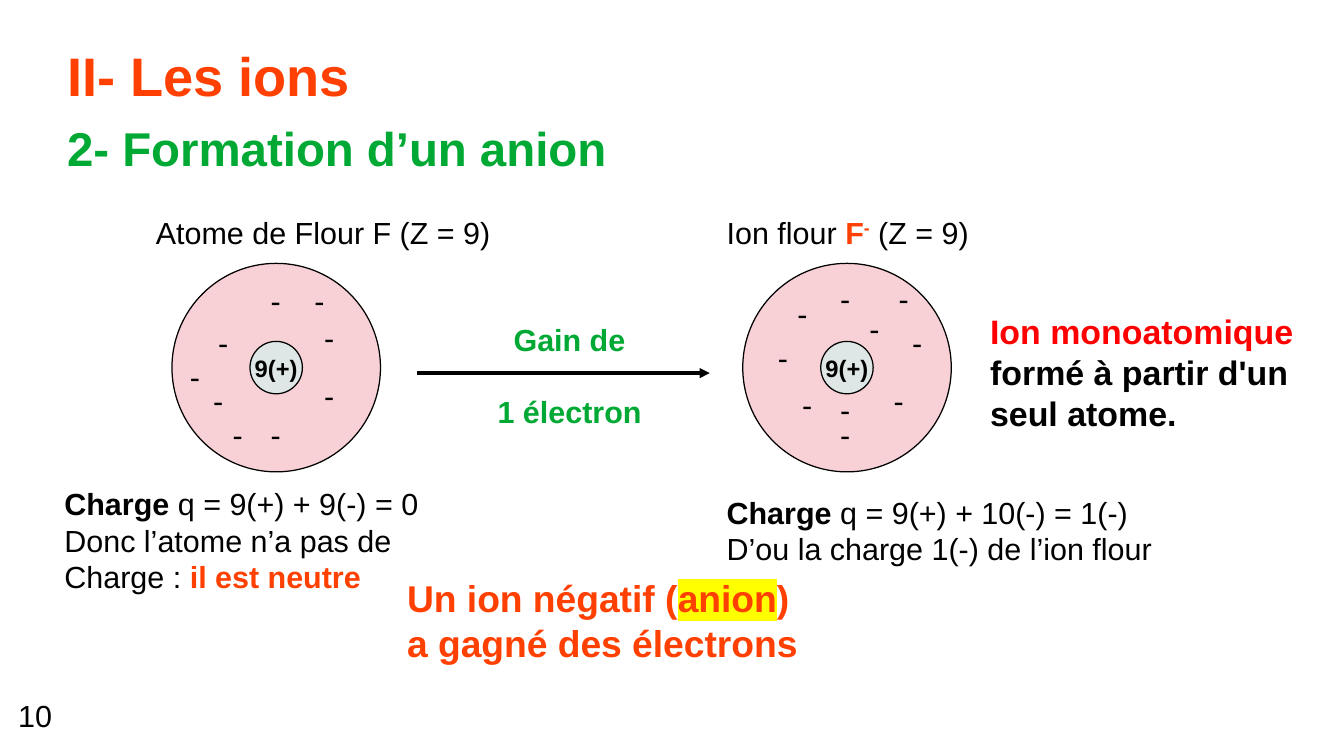
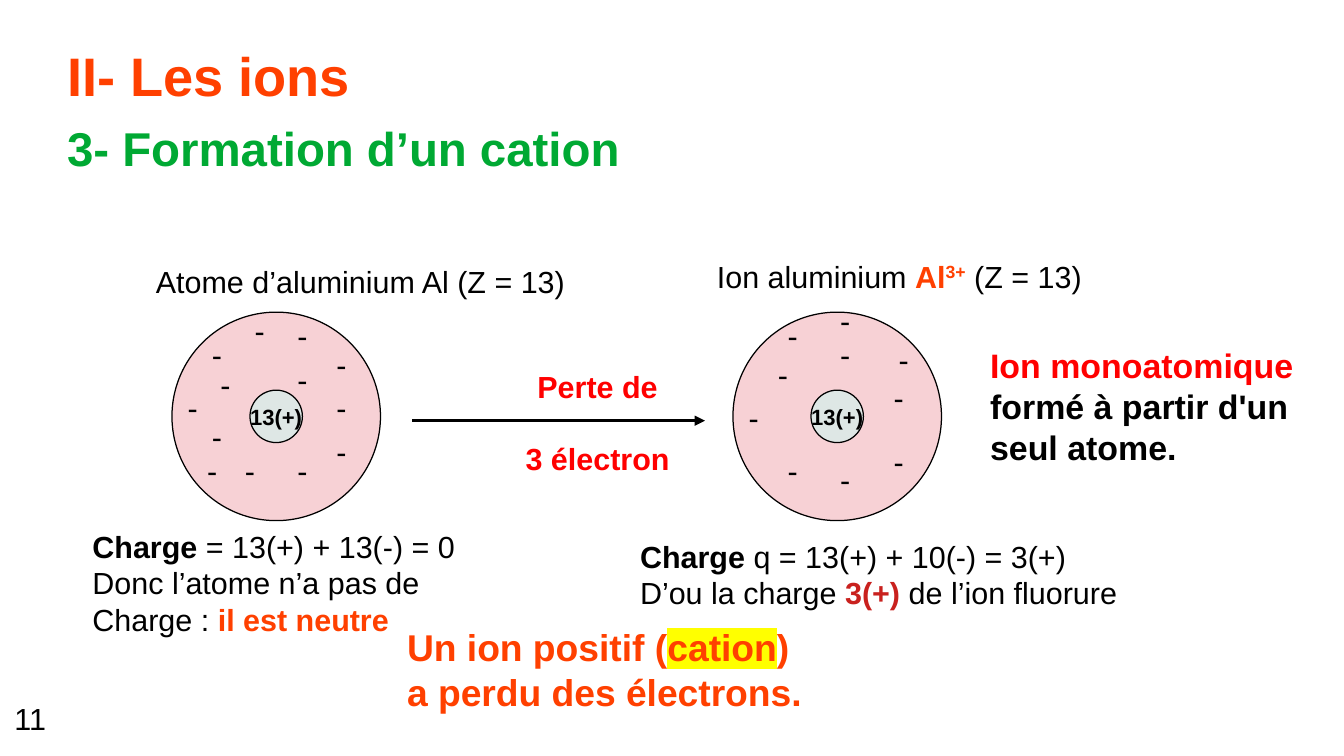
"""Build two slides on how anions and cations form."""
from dataclasses import dataclass
from typing import Optional

from lxml.etree import SubElement
from pptx import Presentation
from pptx.dml.color import RGBColor
from pptx.enum.shapes import MSO_CONNECTOR, MSO_SHAPE
from pptx.enum.text import MSO_ANCHOR as Anchor, PP_ALIGN as Align
from pptx.oxml.ns import qn
from pptx.util import Emu, Pt

EMU_PER_PX = 9144
FONT = "Arial"
COLORS = {
    "orange": "FF4000", "green": "00A933", "red": "FF0000", "crimson": "C9211E",
    "black": "000000", "cloud": "F7D1D5", "nucleus": "DEE7E5", "marker": "FFFF00",
}
CLOUD_SIZE = 171
NUCLEUS_SIZE = 43
ARROW_LENGTH = 240
SPACED_LINE = 21


@dataclass(frozen=True)
class Span:
    text: str
    color: Optional[str] = None
    bold: Optional[bool] = None
    raised: bool = False
    marked: bool = False


@dataclass(frozen=True)
class Style:
    size: int = 18
    color: str = "black"
    bold: bool = False
    align: Align = Align.LEFT
    gap: int = 0


Line = tuple[Span, ...]
Point = tuple[int, int]


@dataclass(frozen=True)
class Particle:
    corner: Point
    label: Line
    label_rise: int
    charge_at: Point
    charge: tuple[Line, ...]
    electrons: tuple[Point, ...]


@dataclass(frozen=True)
class Formation:
    subtitle: str
    nucleus: str
    nucleus_font: int
    atom: Particle
    ion: Particle
    arrow_at: Point
    exchange_x: int
    exchange: tuple[str, str]
    exchange_color: str
    conclusion: Line
    remark_y: int
    page: str
    page_at: Point


BODY = Style()
NEUTRAL = (
    (Span("Donc l’atome n’a pas de"),),
    (Span("Charge : "), Span("il est neutre", "orange", True)),
)
REMARK = (
    (Span("Ion monoatomique", "red"),),
    (Span("formé à partir d'un seul atome."),),
)

FORMATIONS = (
    Formation(
        subtitle="2- Formation d’un anion",
        nucleus="9(+)",
        nucleus_font=14,
        atom=Particle(
            (141, 216), (Span("Atome de Flour F (Z = 9)"),), 45, (43, 393),
            ((Span("Charge ", bold=True), Span("q = 9(+) + 9(-) = 0")), *NEUTRAL),
            ((71, 120), (71, 10), (115, 88), (24, 92), (28, 45), (115, 41),
             (40, 120), (107, 10), (5, 73)),
        ),
        ion=Particle(
            (609, 216),
            (Span("Ion flour "), Span("F", "orange", True),
             Span("-", "orange", True, raised=True), Span(" (Z = 9)")),
            45, (586, 400),
            ((Span("Charge", bold=True), Span(" q = 9(+) + 10(-) = 1(-)")),
             (Span("D’ou la charge 1(-) de l’ion flour"),)),
            ((70, 100), (114, 92), (70, 9), (39, 96), (35, 21), (19, 57),
             (129, 45), (118, 9), (94, 33), (70, 120)),
        ),
        arrow_at=(342, 306),
        exchange_x=393,
        exchange=("Gain de", "1 électron"),
        exchange_color="green",
        conclusion=(Span("Un ion négatif ("), Span("anion", marked=True),
                    Span(") a gagné des électrons")),
        remark_y=250,
        page="10",
        page_at=(5, 567),
    ),
    Formation(
        subtitle="3- Formation d’un cation",
        nucleus="13(+)",
        nucleus_font=13,
        atom=Particle(
            (141, 256), (Span("Atome d’aluminium Al (Z = 13)"),), 45, (66, 428),
            ((Span("Charge", bold=True), Span(" = 13(+) + 13(-) = 0")), *NEUTRAL),
            ((125, 94), (50, 110), (23, 82), (125, 58), (93, -1), (58, -5),
             (19, 110), (93, 35), (30, 39), (3, 58), (93, 110), (23, 15), (125, 23)),
        ),
        ion=Particle(
            (601, 256),
            (Span("Ion aluminium "), Span("Al", "orange", True),
             Span("3+", "orange", True, raised=True), Span(" (Z = 13)")),
            49, (515, 436),
            ((Span("Charge", bold=True), Span(" q = 13(+) + 10(-) = 3(+)")),
             (Span("D’ou la charge "), Span("3(+)", "crimson", True),
              Span(" de l’ion fluorure"))),
            ((78, 117), (122, 102), (78, 15), (35, 110), (122, 50), (27, 31),
             (126, 19), (78, -13), (35, -1), (3, 66)),
        ),
        arrow_at=(338, 345),
        exchange_x=416,
        exchange=("Perte de", "3 électron"),
        exchange_color="red",
        conclusion=(Span("Un ion positif ("), Span("cation", marked=True),
                    Span(") a perdu des électrons.")),
        remark_y=278,
        page="11",
        page_at=(2, 569),
    ),
)


def px(length: int) -> Emu:
    """Turn pixels into EMU."""
    return Emu(length * EMU_PER_PX)


def rgb(name: str) -> RGBColor:
    """Look up a named colour."""
    return RGBColor.from_string(COLORS[name])


def write(frame, lines: tuple[Line, ...], style: Style) -> None:
    """Fill a text frame, overriding the style only where a span differs."""
    for index, line in enumerate(lines):
        paragraph = frame.add_paragraph() if index else frame.paragraphs[0]
        paragraph.alignment = style.align
        if index and style.gap:
            paragraph.space_before = Pt(style.gap)
        paragraph.font.name = FONT
        paragraph.font.size = Pt(style.size)
        paragraph.font.bold = style.bold
        paragraph.font.color.rgb = rgb(style.color)
        for span in line:
            run = paragraph.add_run()
            run.text = span.text
            if span.bold is not None:
                run.font.bold = span.bold
            if span.color:
                run.font.color.rgb = rgb(span.color)
            properties = run.font._element
            if span.raised:
                properties.set("baseline", "33000")
            if span.marked:
                highlight = SubElement(properties, qn("a:highlight"))
                SubElement(highlight, qn("a:srgbClr"), val=COLORS["marker"])


def add_text(slide, at: Point, size: Point, lines: tuple[Line, ...],
             style: Style = BODY, inset: Point = (10, 5),
             anchor: Anchor = Anchor.TOP) -> None:
    """Add a wrapped text box."""
    frame = slide.shapes.add_textbox(*map(px, at + size)).text_frame
    frame.word_wrap = True
    frame.margin_left = frame.margin_right = px(inset[0])
    frame.margin_top = frame.margin_bottom = px(inset[1])
    frame.vertical_anchor = anchor
    write(frame, lines, style)


def add_disc(slide, at: Point, diameter: int, color: str):
    """Add an outlined circle."""
    disc = slide.shapes.add_shape(MSO_SHAPE.OVAL, *map(px, at + (diameter, diameter)))
    disc.shadow.inherit = False
    disc.fill.solid()
    disc.fill.fore_color.rgb = rgb(color)
    disc.line.color.rgb = rgb("black")
    disc.line.width = Emu(0)
    return disc


def add_particle(slide, particle: Particle, nucleus_text: str, nucleus_font: int) -> None:
    """Draw an electron cloud with its nucleus, electrons, label and charge."""
    left, top = particle.corner
    inner = (CLOUD_SIZE - NUCLEUS_SIZE) // 2
    add_disc(slide, particle.corner, CLOUD_SIZE, "cloud")
    nucleus = add_disc(slide, (left + inner, top + inner), NUCLEUS_SIZE, "nucleus")
    frame = nucleus.text_frame
    frame.word_wrap = False
    frame.margin_left = frame.margin_right = frame.margin_top = frame.margin_bottom = 0
    frame.vertical_anchor = Anchor.MIDDLE
    write(frame, ((Span(nucleus_text),),),
          Style(nucleus_font, bold=True, align=Align.CENTER))
    add_text(slide, (left - 23, top - particle.label_rise), (380, 38), (particle.label,))
    add_text(slide, particle.charge_at, (450, 28 * len(particle.charge) + 10),
             particle.charge)
    for dx, dy in particle.electrons:
        add_text(slide, (left + dx, top + dy), (30, 38), ((Span("-"),),))


def add_arrow(slide, start: Point) -> None:
    """Add the horizontal hairline arrow from atom to ion."""
    x, y = start
    arrow = slide.shapes.add_connector(
        MSO_CONNECTOR.STRAIGHT, *map(px, (x, y, x + ARROW_LENGTH, y)))
    arrow.line.color.rgb = rgb("black")
    arrow.line.width = Emu(0)
    SubElement(arrow.line._get_or_add_ln(), qn("a:tailEnd"), type="triangle")
    SubElement(arrow._element.spPr, qn("a:effectLst"))


def add_headings(slide, subtitle: str) -> None:
    """Add the chapter title and the section title."""
    add_text(slide, (55, 25), (992, 73), ((Span("II- Les ions"),),),
             Style(32, "orange", True), (0, 0), Anchor.MIDDLE)
    add_text(slide, (55, 98), (992, 62), ((Span(subtitle),),),
             Style(28, "green", True), (0, 0))


def add_formation(slide, formation: Formation) -> None:
    """Draw one whole slide."""
    add_headings(slide, formation.subtitle)
    for particle in (formation.atom, formation.ion):
        add_particle(slide, particle, formation.nucleus, formation.nucleus_font)
    add_arrow(slide, formation.arrow_at)
    add_text(slide, (formation.exchange_x, formation.arrow_at[1] - 48), (148, 94),
             tuple((Span(text),) for text in formation.exchange),
             Style(18, formation.exchange_color, True, Align.CENTER, SPACED_LINE))
    add_text(slide, (324, formation.atom.corner[1] + 251), (357, 78),
             (formation.conclusion,), Style(22, "orange", True))
    add_text(slide, (802, formation.remark_y), (287, 120), REMARK, Style(20, bold=True))
    add_text(slide, formation.page_at, (419, 47), ((Span(formation.page),),))


def main() -> None:
    """Build and save the presentation."""
    deck = Presentation()
    deck.slide_width, deck.slide_height = px(1102), px(620)
    for formation in FORMATIONS:
        add_formation(deck.slides.add_slide(deck.slide_layouts[6]), formation)
    deck.save("out.pptx")


if __name__ == "__main__":
    main()
